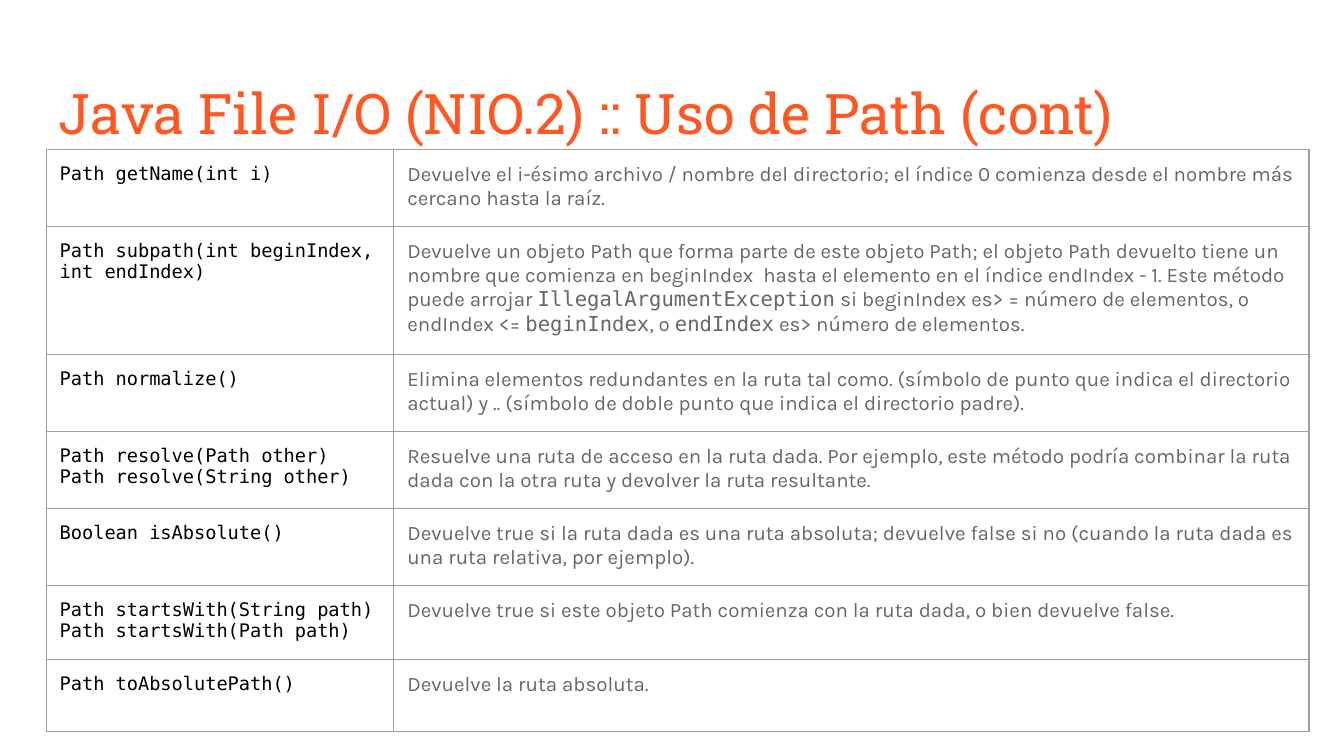
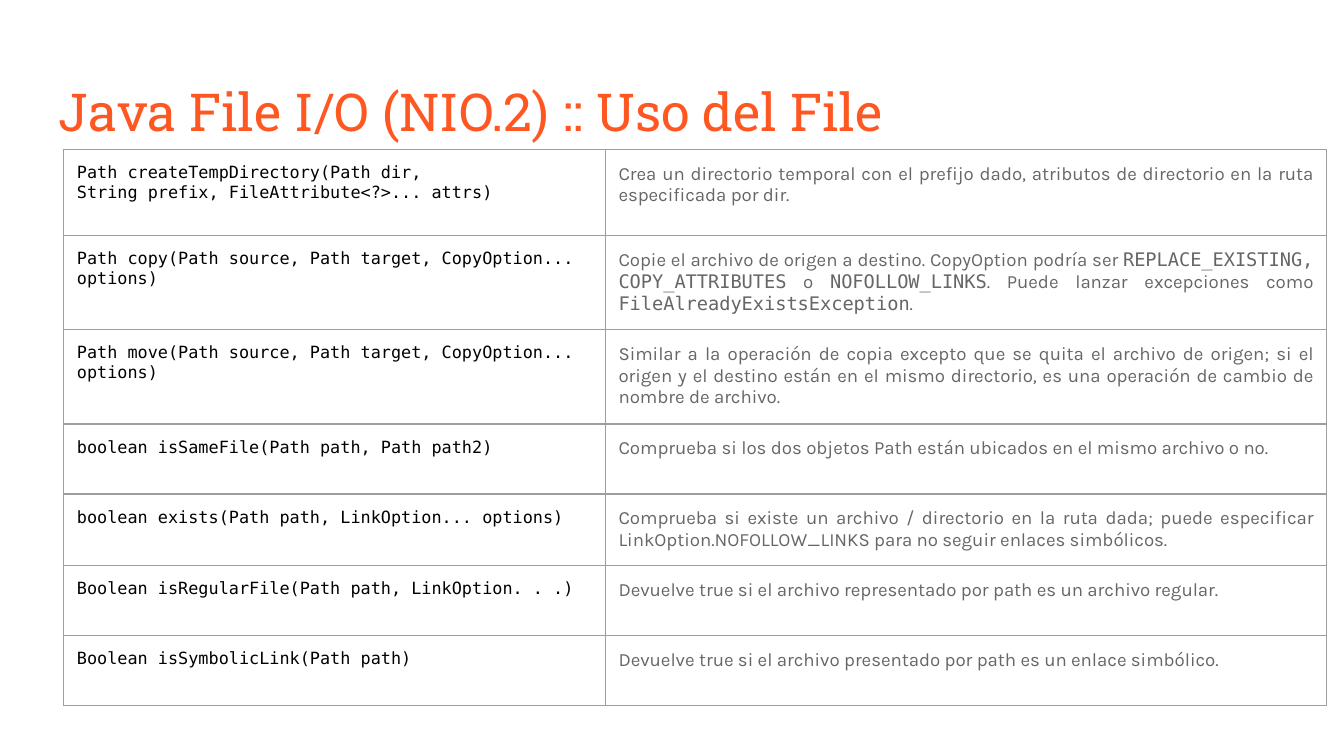
"""Build two slides with tables of Java NIO.2 Path and File methods."""
from lxml import etree
from pptx import Presentation
from pptx.dml.color import RGBColor
from pptx.enum.text import MSO_ANCHOR, PP_ALIGN
from pptx.oxml.ns import qn
from pptx.util import Pt

TOP = MSO_ANCHOR.TOP
LEFT = PP_ALIGN.LEFT
JUSTIFY = PP_ALIGN.JUSTIFY

COLORS = {
    "background": "FFFFFF",
    "title": "FF5722",
    "code": "000000",
    "description": "666666",
    "border": "9E9E9E",
}
TITLE_FONT = "Roboto Slab"
BODY_FONT = "Karla"
CODE_FONT = "DejaVu Sans Mono"
INSET = 7.2
TABLE_TOP = 80.1

SLIDES = [
    {
        "title": "Java File I/O (NIO.2) :: Uso de Path (cont)",
        "title_size": 30,
        "left": 24.8,
        "columns": [186.2, 490.3],
        "code_size": 10,
        "description_size": 11,
        "align": LEFT,
        "rows": [
            (41.25, "Path getName(int i)",
             "Devuelve el i-ésimo archivo / nombre del directorio; el índice 0 comienza "
             "desde el nombre más cercano hasta la raíz."),
            (68.6, "Path subpath(int beginIndex, int endIndex)",
             "Devuelve un objeto Path que forma parte de este objeto Path; el objeto Path "
             "devuelto tiene un nombre que comienza en beginIndex  hasta el elemento en el "
             "índice endIndex - 1. Este método puede arrojar `IllegalArgumentException` si "
             "beginIndex es> = número de elementos, o endIndex <= `beginIndex`, o `endIndex` "
             "es> número de elementos."),
            (41.25, "Path normalize()",
             "Elimina elementos redundantes en la ruta tal como. (símbolo de punto que indica "
             "el directorio actual) y .. (símbolo de doble punto que indica el directorio "
             "padre)."),
            (41.25, "Path resolve(Path other)\nPath resolve(String other)",
             "Resuelve una ruta de acceso en la ruta dada. Por ejemplo, este método podría "
             "combinar la ruta dada con la otra ruta y devolver la ruta resultante."),
            (41.25, "Boolean isAbsolute()",
             "Devuelve true si la ruta dada es una ruta absoluta; devuelve false si no "
             "(cuando la ruta dada es una ruta relativa, por ejemplo)."),
            (39.6, "Path startsWith(String path)\nPath startsWith(Path path)",
             "Devuelve true si este objeto Path comienza con la ruta dada, o bien devuelve "
             "false."),
            (38.7, "Path toAbsolutePath()", "Devuelve la ruta absoluta."),
        ],
    },
    {
        "title": "Java File I/O (NIO.2) :: Uso del File",
        "title_size": 28,
        "left": 34,
        "columns": [290.2, 386.6],
        "code_size": 9,
        "description_size": 10,
        "align": JUSTIFY,
        "rows": [
            (46.1, "Path createTempDirectory(Path dir,\nString prefix, FileAttribute<?>... attrs)",
             "Crea un directorio temporal con el prefijo dado, atributos de directorio en la "
             "ruta especificada por dir."),
            (49.6, "Path copy(Path source, Path target, CopyOption... options)",
             "Copie el archivo de origen a destino. CopyOption podría ser `REPLACE_EXISTING, "
             "COPY_ATTRIBUTES` o `NOFOLLOW_LINKS`. Puede lanzar excepciones como "
             "`FileAlreadyExistsException`."),
            (49.6, "Path move(Path source, Path target, CopyOption... options)",
             "Similar a la operación de copia excepto que se quita el archivo de origen; si el "
             "origen y el destino están en el mismo directorio, es una operación de cambio de "
             "nombre de archivo."),
            (37.5, "boolean isSameFile(Path path, Path path2)",
             "Comprueba si los dos objetos Path están ubicados en el mismo archivo o no."),
            (37.5, "boolean exists(Path path, LinkOption... options)",
             "Comprueba si existe un archivo / directorio en la ruta dada; puede especificar "
             "LinkOption.NOFOLLOW_LINKS para no seguir enlaces simbólicos."),
            (37.5, "Boolean isRegularFile(Path path, LinkOption. . .)",
             "Devuelve true si el archivo representado por path es un archivo regular."),
            (37.5, "Boolean isSymbolicLink(Path path)",
             "Devuelve true si el archivo presentado por path es un enlace simbólico."),
        ],
    },
]


def write_text(frame, text, *, font, size, color, align=LEFT):
    """Write one paragraph per line; backticks enclose code."""
    frame.word_wrap = True
    for number, line in enumerate(text.split("\n")):
        paragraph = frame.add_paragraph() if number else frame.paragraphs[0]
        paragraph.alignment = align
        for index, part in enumerate(line.split("`")):
            run = paragraph.add_run()
            run.text = part
            run.font.name = CODE_FONT if index % 2 else font
            run.font.size = Pt(size)
            run.font.color.rgb = RGBColor.from_string(COLORS[color])


def format_cell(cell):
    """Set the margins, borders and fill of a table cell."""
    cell.vertical_anchor = TOP
    cell.margin_left = cell.margin_right = Pt(INSET)
    cell.margin_top = cell.margin_bottom = Pt(INSET)
    properties = cell._tc.get_or_add_tcPr()
    for side in ("a:lnL", "a:lnR", "a:lnT", "a:lnB"):
        border = etree.SubElement(properties, qn(side), w=str(Pt(0.75)))
        fill = etree.SubElement(border, qn("a:solidFill"))
        etree.SubElement(fill, qn("a:srgbClr"), val=COLORS["border"])
    cell.fill.background()


presentation = Presentation()
presentation.slide_width = Pt(720)
presentation.slide_height = Pt(405)

for content in SLIDES:
    slide = presentation.slides.add_slide(presentation.slide_layouts[6])
    slide.background.fill.solid()
    slide.background.fill.fore_color.rgb = RGBColor.from_string(COLORS["background"])

    title = slide.shapes.add_textbox(Pt(24.5), Pt(35), Pt(671), Pt(45.4))
    frame = title.text_frame
    frame.vertical_anchor = TOP
    frame.margin_left = frame.margin_right = Pt(INSET)
    frame.margin_top = frame.margin_bottom = Pt(INSET)
    write_text(frame, content["title"], font=TITLE_FONT,
               size=content["title_size"], color="title")

    rows = content["rows"]
    columns = content["columns"]
    table = slide.shapes.add_table(
        len(rows), len(columns), Pt(content["left"]), Pt(TABLE_TOP),
        Pt(sum(columns)), Pt(sum(row[0] for row in rows))).table
    table.first_row = False
    table.horz_banding = False
    for column, width in zip(table.columns, columns):
        column.width = Pt(width)

    for row, (height, signature, description) in zip(table.rows, rows):
        row.height = Pt(height)
        code_cell, description_cell = row.cells
        format_cell(code_cell)
        format_cell(description_cell)
        write_text(code_cell.text_frame, signature, font=CODE_FONT,
                   size=content["code_size"], color="code")
        write_text(description_cell.text_frame, description, font=BODY_FONT,
                   size=content["description_size"], color="description",
                   align=content["align"])

presentation.save("out.pptx")
